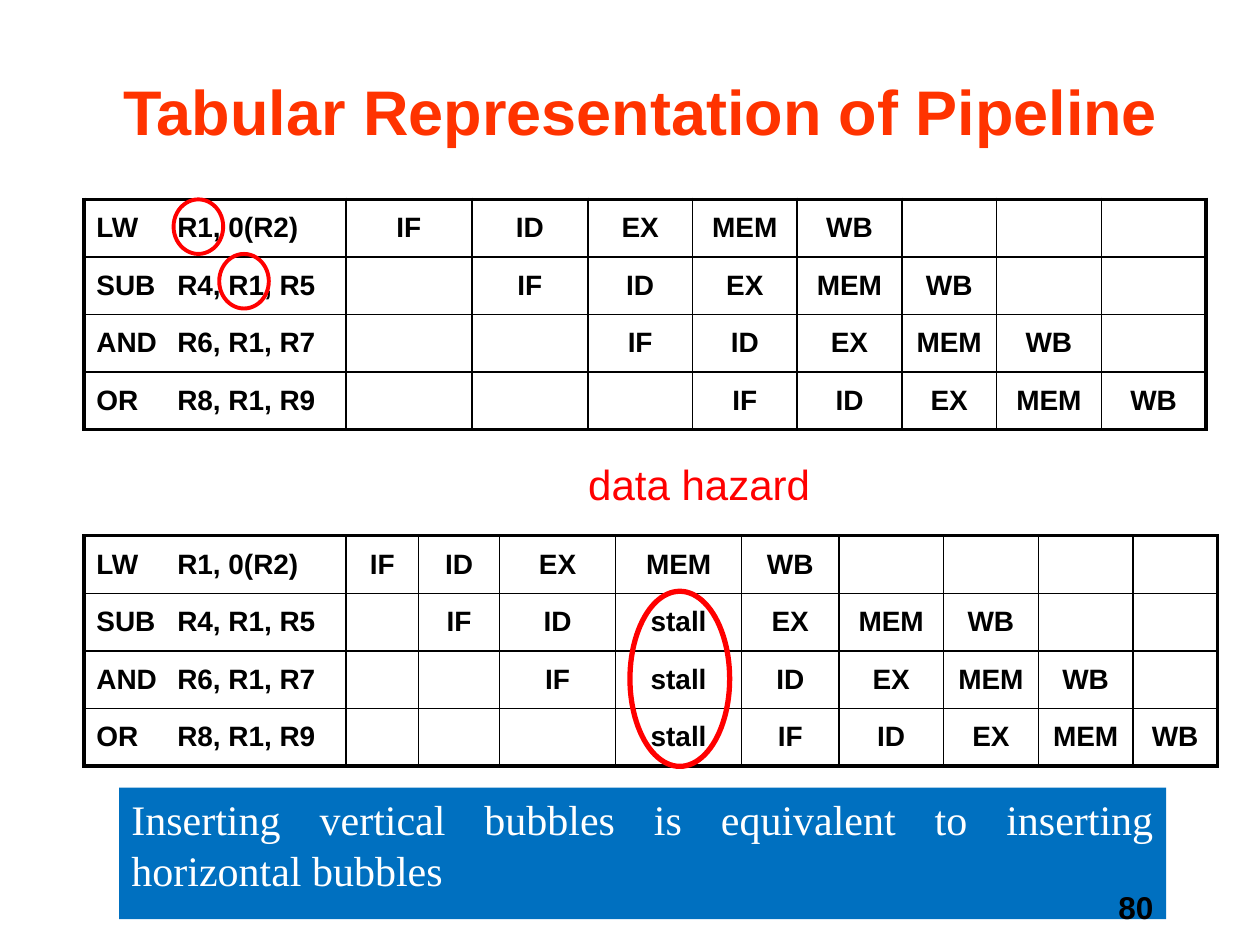
from dataclasses import dataclass
from typing import NamedTuple

from lxml import etree
from pptx import Presentation
from pptx.dml.color import RGBColor
from pptx.enum.shapes import MSO_SHAPE
from pptx.enum.text import MSO_ANCHOR, PP_ALIGN
from pptx.oxml.ns import qn
from pptx.util import Cm, Pt

LEFT, CENTER, RIGHT, JUSTIFY = PP_ALIGN.LEFT, PP_ALIGN.CENTER, PP_ALIGN.RIGHT, PP_ALIGN.JUSTIFY
TOP, MIDDLE = MSO_ANCHOR.TOP, MSO_ANCHOR.MIDDLE
OVAL, RECTANGLE = MSO_SHAPE.OVAL, MSO_SHAPE.RECTANGLE
TITLE_ONLY = 5


@dataclass(frozen=True)
class Theme:
    sans: str = "Arial"
    serif: str = "Times New Roman"
    black: str = "000000"
    white: str = "FFFFFF"
    red: str = "FF0000"
    orange: str = "FF3300"
    blue: str = "0070C0"
    title_size: float = 36
    note_size: float = 24
    number_size: float = 18
    cell_size: float = 16
    outer_border: float = 2.25
    inner_border: float = 1


THEME = Theme()
TITLE_FORMAT = {"name": THEME.sans, "size": Pt(THEME.title_size), "bold": True, "color": THEME.orange}
CELL_FORMAT = {"name": THEME.sans, "size": Pt(THEME.cell_size), "bold": True, "color": THEME.black}
NUMBER_FORMAT = CELL_FORMAT | {"size": Pt(THEME.number_size)}
HAZARD_FORMAT = {"name": THEME.sans, "size": Pt(THEME.note_size), "bold": False, "color": THEME.red}
NOTE_FORMAT = HAZARD_FORMAT | {"name": THEME.serif, "color": THEME.white}


class Area(NamedTuple):
    left: float
    top: float
    width: float
    height: float

    def lengths(self) -> list:
        return [Cm(value) for value in self]


class Ring(NamedTuple):
    area: Area
    weight: float


class Pipeline(NamedTuple):
    top: float
    column_widths: list[float]
    stalled: bool


INSTRUCTIONS = ["LW\tR1, 0(R2)", "SUB\tR4, R1, R5", "AND\tR6, R1, R7", "OR\tR8, R1, R9"]
STAGES = ["IF", "ID", "EX", "MEM", "WB"]
STALL_CYCLE = 3
TABLE_LEFT = 1.69
ROW_HEIGHT = 1.16
REGISTER_TAB = 1.63

PIPELINES = [
    Pipeline(4.02, [5.28, 2.54, 2.34, 2.11, 2.11, 2.11, 1.91, 2.11, 2.11], False),
    Pipeline(10.8, [5.28, 1.47, 1.63, 2.34, 2.54, 1.96, 2.11, 1.91, 1.91, 1.7], True),
]
RINGS = [
    Ring(Area(12.7, 11.92, 2.01, 3.53), 3),
    Ring(Area(3.5, 4.02, 1, 1.1), 2.25),
    Ring(Area(4.42, 5.12, 1, 1.1), 2.25),
]


def write(frame, text: str, formats: dict, align, anchor=TOP) -> None:
    frame.word_wrap = True
    frame.vertical_anchor = anchor
    para = frame.paragraphs[0]
    para.alignment = align
    span = para.add_run()
    span.text = text
    for key, value in formats.items():
        if key == "color":
            span.font.color.rgb = RGBColor.from_string(value)
        else:
            setattr(span.font, key, value)


def add_label(page, area: Area, text: str, formats: dict, align) -> None:
    box = page.shapes.add_textbox(*area.lengths())
    write(box.text_frame, text, formats, align)


def add_note(page, area: Area, text: str) -> None:
    box = page.shapes.add_shape(RECTANGLE, *area.lengths())
    box.shadow.inherit = False
    box.fill.solid()
    box.fill.fore_color.rgb = RGBColor.from_string(THEME.blue)
    box.line.fill.background()
    write(box.text_frame, text, NOTE_FORMAT, JUSTIFY)


def add_ring(page, ring: Ring) -> None:
    oval = page.shapes.add_shape(OVAL, *ring.area.lengths())
    oval.shadow.inherit = False
    oval.fill.background()
    oval.line.color.rgb = RGBColor.from_string(THEME.red)
    oval.line.width = Pt(ring.weight)


def set_borders(cell, outer_sides: dict[str, bool]) -> None:
    properties = cell._tc.get_or_add_tcPr()
    for side, is_outer in outer_sides.items():
        weight = THEME.outer_border if is_outer else THEME.inner_border
        line = etree.SubElement(properties, qn(f"a:ln{side}"), w=str(Pt(weight)))
        fill = etree.SubElement(line, qn("a:solidFill"))
        etree.SubElement(fill, qn("a:srgbClr"), val=THEME.black)


def add_tab_stop(para) -> None:
    tabs = etree.SubElement(para._p.get_or_add_pPr(), qn("a:tabLst"))
    etree.SubElement(tabs, qn("a:tab"), pos=str(Cm(REGISTER_TAB)), algn="l")


def schedule(start: int, stalled: bool) -> dict[int, str]:
    cycles = {start + offset: stage for offset, stage in enumerate(STAGES)}
    if not stalled or start == 0:
        return cycles
    shifted = {cycle + (cycle >= STALL_CYCLE): stage for cycle, stage in cycles.items()}
    return shifted | {STALL_CYCLE: "stall"}


def add_pipeline(page, pipeline: Pipeline) -> None:
    widths = pipeline.column_widths
    row_count, column_count = len(INSTRUCTIONS), len(widths)
    area = Area(TABLE_LEFT, pipeline.top, sum(widths), ROW_HEIGHT * row_count)
    table = page.shapes.add_table(row_count, column_count, *area.lengths()).table
    table.first_row = table.horz_banding = False
    for column, width in zip(table.columns, widths):
        column.width = Cm(width)
    for row, instruction in enumerate(INSTRUCTIONS):
        table.rows[row].height = Cm(ROW_HEIGHT)
        cycles = schedule(row, pipeline.stalled)
        for column in range(column_count):
            cell = table.cell(row, column)
            set_borders(cell, {
                "L": column == 0,
                "R": column == column_count - 1,
                "T": row == 0,
                "B": row == row_count - 1,
            })
            cell.fill.background()
            cell.vertical_anchor = MIDDLE
            if column == 0:
                add_tab_stop(cell.text_frame.paragraphs[0])
                write(cell.text_frame, instruction, CELL_FORMAT, LEFT, MIDDLE)
            elif column - 1 in cycles:
                write(cell.text_frame, cycles[column - 1], CELL_FORMAT, CENTER, MIDDLE)


def main() -> None:
    deck = Presentation()
    deck.slide_width, deck.slide_height = Cm(25.4), Cm(19.05)
    page = deck.slides.add_slide(deck.slide_layouts[TITLE_ONLY])
    title = page.shapes.title
    title.left, title.top, title.width, title.height = Area(0.43, 0.64, 24.97, 3.18).lengths()
    write(title.text_frame, "Tabular Representation of Pipeline", TITLE_FORMAT, CENTER, MIDDLE)
    add_note(page, Area(2.4, 15.88, 21.11, 2.65),
             "Inserting vertical bubbles is equivalent to inserting horizontal bubbles")
    add_label(page, Area(18.21, 17.78, 5.29, 1.27), "80", NUMBER_FORMAT, RIGHT)
    for pipeline in PIPELINES:
        add_pipeline(page, pipeline)
    for ring in RINGS:
        add_ring(page, ring)
    add_label(page, Area(10.69, 9.12, 6.81, 1.3), "data hazard", HAZARD_FORMAT, CENTER)
    deck.save("out.pptx")


if __name__ == "__main__":
    main()
